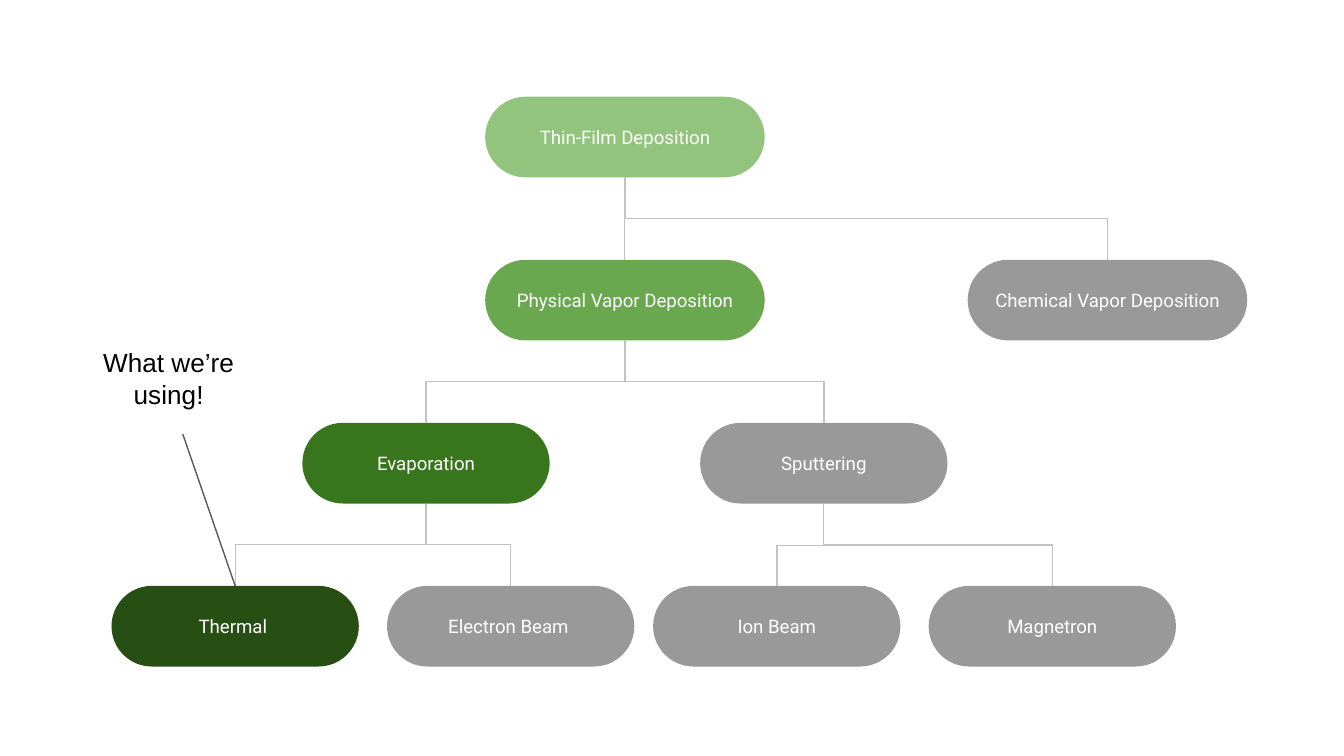
from lxml import etree
from pptx import Presentation
from pptx import util as u
from pptx.dml.color import RGBColor
from pptx.enum import shapes, text
from pptx.oxml.ns import qn

HUES = {
    "pale": "93C47D", "mid": "6AA84F", "deep": "38761D", "dark": "274E13",
    "gray": "999999", "link": "C2C2C2", "line": "595959",
    "white": "FFFFFF", "black": "000000",
}
TOP, STEP, TALL = 0.72, 3.64 / 3, 0.6
WIDE, SLIM = 2.08, 1.84

NODES = {
    "film": ("Thin-Film Deposition", 4.65, 0, WIDE, "pale"),
    "phys": ("Physical Vapor Deposition", 4.65, 1, WIDE, "mid"),
    "chem": ("Chemical Vapor Deposition", 8.24, 1, WIDE, "gray"),
    "evap": ("Evaporation", 3.17, 2, SLIM, "deep"),
    "sput": ("Sputtering", 6.13, 2, SLIM, "gray"),
    "heat": ("Thermal ", 1.75, 3, SLIM, "dark"),
    "beam": ("Electron Beam ", 3.8, 3, SLIM, "gray"),
    "ion": ("Ion Beam", 5.78, 3, SLIM, "gray"),
    "mag": ("Magnetron", 7.83, 3, SLIM, "gray"),
}
LINKS = [
    ("film", "chem"), ("film", "phys"), ("phys", "sput"), ("phys", "evap"),
    ("evap", "heat"), ("evap", "beam"), ("sput", "mag"),
]


def hue(name):
    return RGBColor.from_string(HUES[name])


def top(row):
    return TOP + row * STEP


def write(shape, words, font, size, color):
    frame = shape.text_frame
    frame.word_wrap = True
    frame.margin_left = frame.margin_right = u.Inches(0.1)
    frame.margin_top = frame.margin_bottom = u.Inches(0.1)
    para = frame.paragraphs[0]
    para.text = words
    para.alignment = text.PP_ALIGN.CENTER
    para.font.name = font
    para.font.size = u.Pt(size)
    para.font.color.rgb = hue(color)
    return frame


def pill(slide, words, mid, row, width, color):
    box = slide.shapes.add_shape(
        shapes.MSO_SHAPE.ROUNDED_RECTANGLE, u.Inches(mid - width / 2),
        u.Inches(top(row)), u.Inches(width), u.Inches(TALL))
    box.adjustments[0] = 0.5
    box.shadow.inherit = False
    box.fill.solid()
    box.fill.fore_color.rgb = hue(color)
    box.line.fill.background()
    frame = write(box, words, "Roboto", 10, "white")
    frame.vertical_anchor = text.MSO_ANCHOR.MIDDLE


def wire(slide, kind, start, end, color):
    line = slide.shapes.add_connector(
        kind, *(u.Inches(n) for n in start + end))
    line.line.color.rgb = hue(color)
    line.line.width = u.Pt(0.75)
    etree.SubElement(line._element.spPr, qn("a:effectLst"))
    return line


def bend(slide, start, end, turn, flip=False, form="bentConnector3"):
    (x1, y1), (x2, y2) = start, end
    mx, my = (x1 + x2) / 2, (y1 + y2) / 2
    dx, dy = abs(y2 - y1) / 2, abs(x2 - x1) / 2
    if flip:
        dx = -dx
    line = wire(slide, shapes.MSO_CONNECTOR.ELBOW,
                (mx - dx, my - dy), (mx + dx, my + dy), "link")
    props = line._element.spPr
    props.find(qn("a:xfrm")).set("rot", str(turn * 60000))
    props.find(qn("a:prstGeom")).set("prst", form)


def join(slide, above, below):
    x1, x2 = NODES[above][1], NODES[below][1]
    row = NODES[above][2]
    right = x2 >= x1
    bend(slide, (x1, top(row) + TALL), (x2, top(row + 1)),
         270 if right else 90, right)


def note(slide):
    wire(slide, shapes.MSO_CONNECTOR.STRAIGHT,
         (NODES["heat"][1], top(3)), (1.36, 3.23), "line")
    box = slide.shapes.add_textbox(
        *(u.Inches(n) for n in (0.48, 2.48, 1.55, 0.67)))
    write(box, "What we’re using!", "Arial", 14, "black")


def main():
    deck = Presentation()
    deck.slide_width, deck.slide_height = u.Pt(720), u.Pt(405)
    slide = deck.slides.add_slide(deck.slide_layouts[6])
    for node in NODES.values():
        pill(slide, *node)
    for pair in LINKS:
        join(slide, *pair)
    bend(slide, (NODES["ion"][1], top(3)), (NODES["mag"][1], top(3) - 0.3),
         270, form="bentConnector2")
    note(slide)
    deck.save("out.pptx")


if __name__ == "__main__":
    main()
